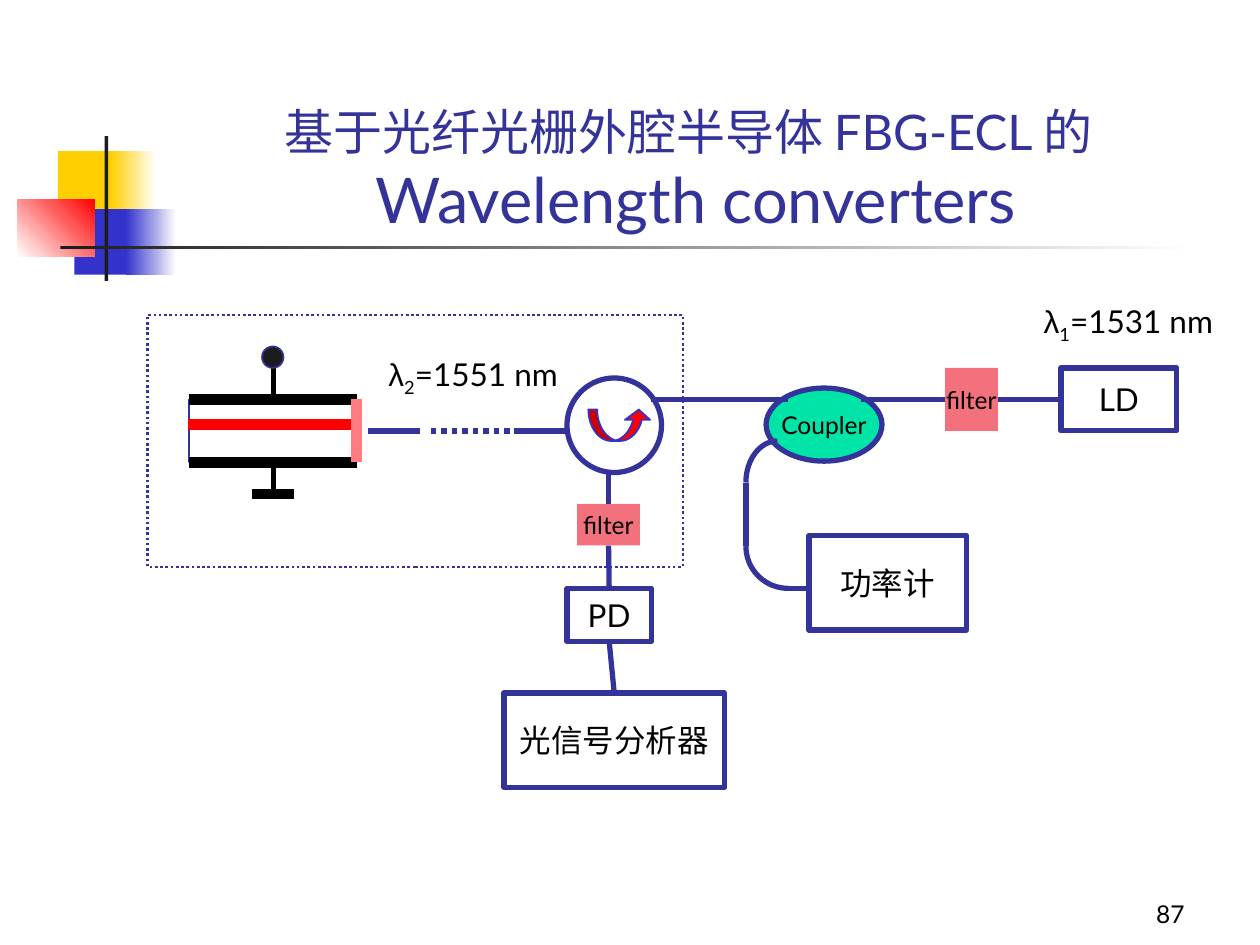
from lxml import etree
from pptx import Presentation
from pptx.dml.color import RGBColor
from pptx.enum import dml, shapes, text
from pptx.oxml.ns import qn
from pptx.util import Inches, Pt

NAVY = RGBColor(0x33, 0x33, 0x99)
BLUE = RGBColor(0x33, 0x33, 0xCC)
YELLOW = RGBColor(0xFF, 0xCF, 0x01)
RED = RGBColor(0xFF, 0, 0)
PINK = RGBColor(0xFF, 0x7C, 0x80)
ROSE = RGBColor(0xF3, 0x71, 0x7D)
GREEN = RGBColor(0, 0xE4, 0xA8)
DARK = RGBColor(0x1C, 0x1C, 0x1C)
BLACK = RGBColor(0, 0, 0)
WHITE = RGBColor(0xFF, 0xFF, 0xFF)

S, A, D = shapes.MSO_SHAPE, text.PP_ALIGN, dml.MSO_LINE
TOP, LEFT, BOTTOM, RIGHT = range(4)

# Corner ornament: box, fill (a pair is a gradient), gradient angle
ORNAMENT = [
    ((0.46, 1.2, 0.48, 0.52), YELLOW, 0),
    ((0.88, 1.2, 0.36, 0.52), (YELLOW, WHITE), 0),
    ((0.59, 1.66, 0.46, 0.52), BLUE, 0),
    ((1, 1.66, 0.4, 0.52), (BLUE, WHITE), 0),
    ((0.14, 1.58, 0.61, 0.46), (WHITE, RED), 45),
    ((0.83, 1.08, 0.03, 1.15), DARK, 0),
    ((0.48, 1.95, 9, 0.03), (DARK, WHITE), 0),
]

# Labelled parts: name, shape, box, fill, line, label, size
PARTS = [
    ("coupler", S.OVAL, (6.08, 3.08, 0.92, 0.58), GREEN, NAVY, "Coupler", 14),
    ("laser filter", S.RECTANGLE, (7.5, 2.92, 0.42, 0.5), ROSE, None, "filter", 14),
    ("laser", S.RECTANGLE, (8.42, 2.92, 0.92, 0.5), None, NAVY, "LD", 18),
    ("detector filter", S.RECTANGLE, (4.58, 4, 0.5, 0.33), ROSE, None, "filter", 14),
    ("detector", S.RECTANGLE, (4.5, 4.67, 0.67, 0.42), None, NAVY, "PD", 18),
    ("analyser", S.RECTANGLE, (4, 5.5, 1.75, 0.75), None, NAVY, "光信号分析器", 18),
    ("power meter", S.RECTANGLE, (6.42, 4.25, 1.25, 0.75), None, NAVY, "功率计", 18),
]

# Fibres: start, end; an end is a point or (part name, side)
FIBRES = [
    ((2.92, 3.42), (3.33, 3.42)),
    ((4.08, 3.42), (4.5, 3.42)),
    ((5.17, 3.17), (6.25, 3.17)),
    ((6.83, 3.17), ("laser filter", LEFT)),
    (("laser filter", RIGHT), ("laser", LEFT)),
    ((5.92, 3.83), (5.92, 4.33)),
    ((4.83, 3.75), ("detector filter", TOP)),
    (("detector filter", BOTTOM), ("detector", TOP)),
    (("detector", BOTTOM), ("analyser", TOP)),
    ((6.25, 4.67), (6.42, 4.67)),
]

# Fibre bends: box of the whole ellipse, start and end angle
BENDS = [
    ((5.92, 3.5, 0.5, 0.66), 180, 270),
    ((5.92, 4, 0.67, 0.67), 90, 180),
]

# Chip electrodes: start, end, colour, width
ELECTRODES = [
    ((1.5, 3.67), (2.83, 3.67), BLACK, 6),
    ((1.5, 3.17), (2.83, 3.17), BLACK, 6),
    ((2.17, 3.67), (2.17, 3.92), BLACK, 3),
    ((2, 3.92), (2.33, 3.92), BLACK, 6),
    ((2.17, 2.92), (2.17, 3.17), BLACK, 3),
    ((2.83, 3.17), (2.83, 3.67), PINK, 6),
]

# Wavelength labels: box, subscript, value
WAVELENGTHS = [
    ((8.08, 2.35, 1.75, 0.44), "1", "=1531 nm"),
    ((2.92, 2.77, 1.67, 0.44), "2", "=1551 nm"),
]

prs = Presentation()
prs.slide_width, prs.slide_height = Inches(10), Inches(7.5)
slide = prs.slides.add_slide(prs.slide_layouts[6])


def add_shape(kind, box, fill=None, line=None, width=3, angle=0):
    sp = slide.shapes.add_shape(kind, *map(Inches, box))
    sp.shadow.inherit = False
    if fill is None:
        sp.fill.background()
    elif isinstance(fill, RGBColor):
        sp.fill.solid()
        sp.fill.fore_color.rgb = fill
    else:
        sp.fill.gradient()
        sp.fill.gradient_angle = angle
        for stop, colour, pos in zip(sp.fill.gradient_stops, fill, (0, 1)):
            stop.color.rgb, stop.position = colour, pos
    if line is None:
        sp.line.fill.background()
    else:
        sp.line.color.rgb, sp.line.width = line, Pt(width)
    return sp


def add_line(start, end, colour=NAVY, width=3, parts=None):
    joined = [isinstance(p[0], str) for p in (start, end)]
    points = [(0, 0) if j else p for j, p in zip(joined, (start, end))]
    cx = slide.shapes.add_connector(
        shapes.MSO_CONNECTOR.STRAIGHT, *(Inches(v) for p in points for v in p))
    if joined[0]:
        cx.begin_connect(parts[start[0]], start[1])
    if joined[1]:
        cx.end_connect(parts[end[0]], end[1])
    cx.line.color.rgb, cx.line.width = colour, Pt(width)
    etree.SubElement(cx._element.spPr, qn("a:effectLst"))
    return cx


def add_run(p, words, size, colour=BLACK, font="Lato"):
    r = p.add_run()
    r.text = words
    r.font.name, r.font.size, r.font.color.rgb = font, Pt(size), colour
    return r


def add_text(box, align, anchor=text.MSO_ANCHOR.TOP):
    tf = slide.shapes.add_textbox(*map(Inches, box)).text_frame
    tf.word_wrap, tf.vertical_anchor = True, anchor
    tf.paragraphs[0].alignment = align
    return tf.paragraphs[0]


# Ornament, page number and title
for box, fill, angle in ORNAMENT:
    add_shape(S.RECTANGLE, box, fill, angle=angle)
p = add_text((7.42, 6.92, 2.08, 0.5), A.RIGHT, text.MSO_ANCHOR.BOTTOM)
add_run(p, "87", 14)
p = add_text((2.01, 0.67, 6.91, 1.25), A.CENTER, text.MSO_ANCHOR.BOTTOM)
add_run(p, "基于光纤光栅外腔半导体 FBG-ECL 的", 28, NAVY)
p.add_line_break()
add_run(p, " Wavelength converters", 36, NAVY)

# Semiconductor chip
add_shape(S.RECTANGLE, (1.5, 3.17, 1.33, 0.5), None, NAVY, 1)
add_shape(S.RECTANGLE, (1.5, 3.33, 1.33, 0.08), RED, RED, 1)
for electrode in ELECTRODES:
    add_line(*electrode)
add_shape(S.OVAL, (2.08, 2.75, 0.17, 0.17), DARK, NAVY, 1)

# Circulator
add_shape(S.OVAL, (4.5, 3, 0.75, 0.75), None, NAVY)
arrow = add_shape(S.CURVED_UP_ARROW, (4.67, 3.25, 0.5, 0.25), RED, BLUE, 1)
for i, value in enumerate((0.28, 0.8, 0.33)):
    arrow.adjustments[i] = value

# Labelled parts
parts = {}
for name, kind, box, fill, line, label, size in PARTS:
    sp = parts[name] = add_shape(kind, box, fill, line)
    tf = sp.text_frame
    tf.word_wrap, tf.vertical_anchor = False, text.MSO_ANCHOR.MIDDLE
    tf.paragraphs[0].alignment = A.CENTER
    add_run(tf.paragraphs[0], label, size)

# Fibres and bends
for start, end in FIBRES:
    add_line(start, end, parts=parts)
add_line((3.42, 3.42), (4.08, 3.42)).line.dash_style = D.ROUND_DOT
for box, start, end in BENDS:
    arc = add_shape(S.ARC, box, None, NAVY)
    # Angles are stored in 60000ths of a degree, adjustments in 100000ths
    arc.adjustments[0], arc.adjustments[1] = start * 0.6, end * 0.6

# Frame of the external-cavity laser
frame = add_shape(S.RECTANGLE, (1.17, 2.5, 4.25, 2), None, NAVY, 1.5)
frame.line.dash_style = D.ROUND_DOT

# Wavelengths
for box, index, value in WAVELENGTHS:
    p = add_text(box, A.CENTER)
    add_run(p, "λ", 18, font="Arial")
    add_run(p, index, 18).font._element.set("baseline", "-25000")
    add_run(p, value, 18)

prs.save("out.pptx")
